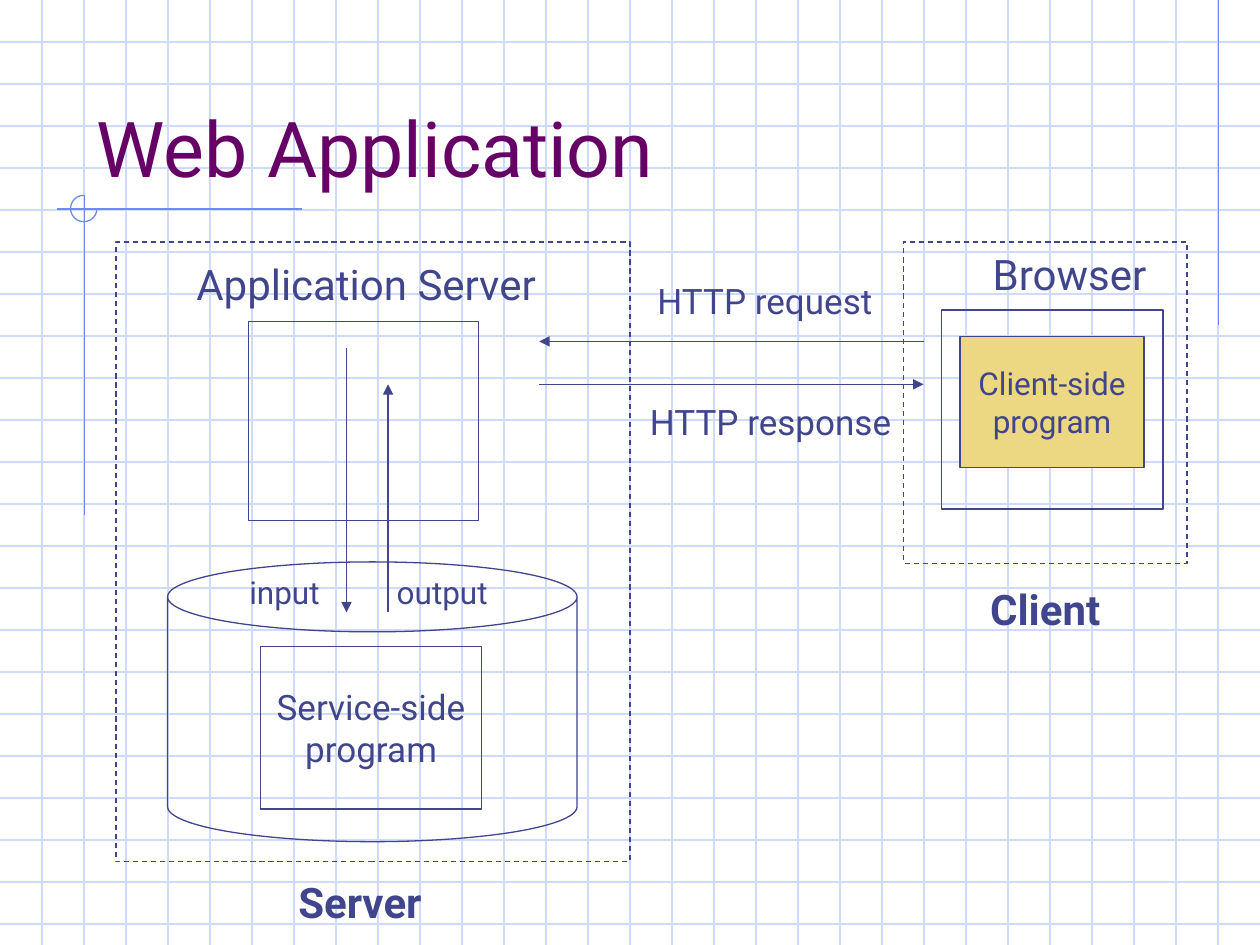
from dataclasses import dataclass

from lxml.etree import SubElement
from pptx import Presentation
from pptx.dml.color import RGBColor
from pptx.enum.dml import MSO_LINE
from pptx.enum.shapes import MSO_CONNECTOR, MSO_SHAPE
from pptx.enum.text import MSO_ANCHOR, MSO_AUTO_SIZE, PP_ALIGN
from pptx.oxml.ns import qn
from pptx.util import Inches, Pt


@dataclass(frozen=True)
class Theme:
    font: str = "Roboto"
    ink: str = "40458C"
    title: str = "660066"
    grid: str = "CFDBFD"
    accent: str = "6F89F7"
    highlight: str = "ECD882"
    line: float = 0.75
    title_size: int = 44
    heading_size: int = 24
    label_size: int = 20
    small_size: int = 18


THEME = Theme()
WIDTH, HEIGHT = 10, 7.5
CELLS_PER_INCH = 3


def rgb(color):
    return RGBColor.from_string(color)


def inches(values):
    return [Inches(v) for v in values]


def style_line(line, color):
    line.color.rgb = rgb(color)
    line.width = Pt(THEME.line)


def add_line(s, start, end, color=THEME.ink, arrow=False):
    c = s.shapes.add_connector(MSO_CONNECTOR.STRAIGHT, *inches((*start, *end)))
    style_line(c.line, color)
    sp_pr = c._element.spPr
    SubElement(sp_pr, qn("a:effectLst"))
    if arrow:
        SubElement(sp_pr.find(qn("a:ln")), qn("a:tailEnd"), type="triangle")


def add_outline(s, kind, box, color=THEME.ink, fill=None, dashed=False):
    sp = s.shapes.add_shape(kind, *inches(box))
    sp.shadow.inherit = False
    if fill:
        sp.fill.solid()
        sp.fill.fore_color.rgb = rgb(fill)
    else:
        sp.fill.background()
    style_line(sp.line, color)
    if dashed:
        sp.line.dash_style = MSO_LINE.DASH
    return sp


def set_text(tf, text, size, color=THEME.ink, bold=False, align=PP_ALIGN.LEFT):
    tf.text = text
    for p in tf.paragraphs:
        p.alignment = align
        for r in p.runs:
            r.font.name = THEME.font
            r.font.size = Pt(size)
            r.font.bold = bold
            r.font.color.rgb = rgb(color)


def add_label(s, text, box, size, bold=False):
    tf = s.shapes.add_textbox(*inches(box)).text_frame
    tf.word_wrap = False
    tf.auto_size = MSO_AUTO_SIZE.SHAPE_TO_FIT_TEXT
    set_text(tf, text, size, bold=bold)


def add_program(s, text, box, size, fill=None):
    tf = add_outline(s, MSO_SHAPE.RECTANGLE, box, fill=fill).text_frame
    tf.word_wrap = False
    tf.vertical_anchor = MSO_ANCHOR.MIDDLE
    set_text(tf, text, size, align=PP_ALIGN.CENTER)


def add_background(s):
    for i in range(1, int(HEIGHT * CELLS_PER_INCH) + 1):
        y = i / CELLS_PER_INCH
        add_line(s, (0, y), (WIDTH, y), THEME.grid)
    for i in range(1, WIDTH * CELLS_PER_INCH):
        x = i / CELLS_PER_INCH
        add_line(s, (x, 0), (x, HEIGHT), THEME.grid)
    add_line(s, (9.67, 0), (9.67, 2.58), THEME.accent)
    add_line(s, (2.4, 1.66), (0.45, 1.66), THEME.accent)
    add_line(s, (0.67, 1.55), (0.67, 4.09), THEME.accent)
    arc = add_outline(s, MSO_SHAPE.ARC, (0.56, 1.55, 0.21, 0.21), THEME.accent)
    # Angles count 0.6 per degree: from the right, clockwise to the top.
    arc.adjustments[0] = 0
    arc.adjustments[1] = 270 * 0.6


def add_title(s, text):
    tf = s.shapes.add_textbox(*inches((0.67, 0.33, 8.5, 1.25))).text_frame
    tf.word_wrap = True
    tf.vertical_anchor = MSO_ANCHOR.BOTTOM
    set_text(tf, text, THEME.title_size, THEME.title)


def add_server(s):
    add_outline(s, MSO_SHAPE.RECTANGLE, (1.97, 2.55, 1.83, 1.58))
    add_label(s, "Application Server", (1.46, 2, 3.04, 0.5), THEME.heading_size)
    add_outline(s, MSO_SHAPE.CAN, (1.33, 4.46, 3.25, 2.22))
    add_line(s, (2.75, 2.76), (2.75, 4.86), arrow=True)
    add_line(s, (3.08, 4.86), (3.08, 3.05), arrow=True)
    add_outline(s, MSO_SHAPE.RECTANGLE, (0.92, 1.92, 4.08, 4.92), dashed=True)
    add_label(s, "Server", (2.27, 6.91, 1.27, 0.5), THEME.heading_size, bold=True)
    add_program(s, "Service-side\nprogram", (2.07, 5.13, 1.75, 1.29), THEME.label_size)
    add_label(s, "input", (1.88, 4.5, 0.81, 0.4), THEME.small_size)
    add_label(s, "output", (3.05, 4.5, 0.99, 0.4), THEME.small_size)


def add_client(s):
    add_outline(s, MSO_SHAPE.RECTANGLE, (7.47, 2.46, 1.76, 1.58))
    add_label(s, "Browser", (7.78, 1.92, 1.5, 0.5), THEME.heading_size)
    add_outline(s, MSO_SHAPE.RECTANGLE, (7.17, 1.92, 2.25, 2.55), dashed=True)
    add_label(s, "Client", (7.76, 4.58, 1.17, 0.5), THEME.heading_size, bold=True)
    add_program(s, "Client-side\nprogram", (7.62, 2.67, 1.46, 1.04),
                THEME.small_size, THEME.highlight)


def add_http_exchange(s):
    add_line(s, (7.33, 2.71), (4.28, 2.71), arrow=True)
    add_label(s, "HTTP request", (5.12, 2.17, 1.96, 0.44), THEME.label_size)
    add_line(s, (4.28, 3.05), (7.33, 3.05), arrow=True)
    add_label(s, "HTTP response", (5.06, 3.13, 2.16, 0.44), THEME.label_size)


def main():
    prs = Presentation()
    prs.slide_width, prs.slide_height = Inches(WIDTH), Inches(HEIGHT)
    s = prs.slides.add_slide(prs.slide_layouts[6])
    add_background(s)
    add_title(s, "Web Application")
    add_server(s)
    add_http_exchange(s)
    add_client(s)
    prs.save("out.pptx")


if __name__ == "__main__":
    main()
